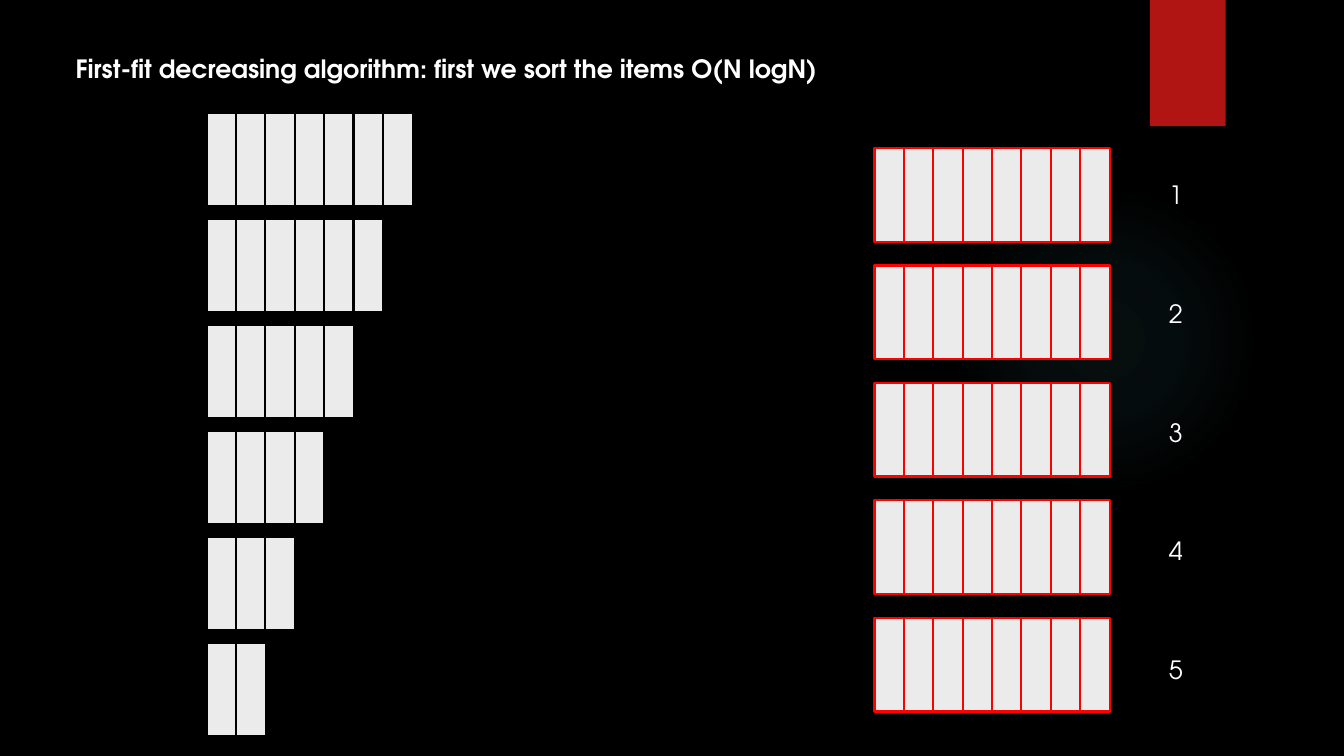
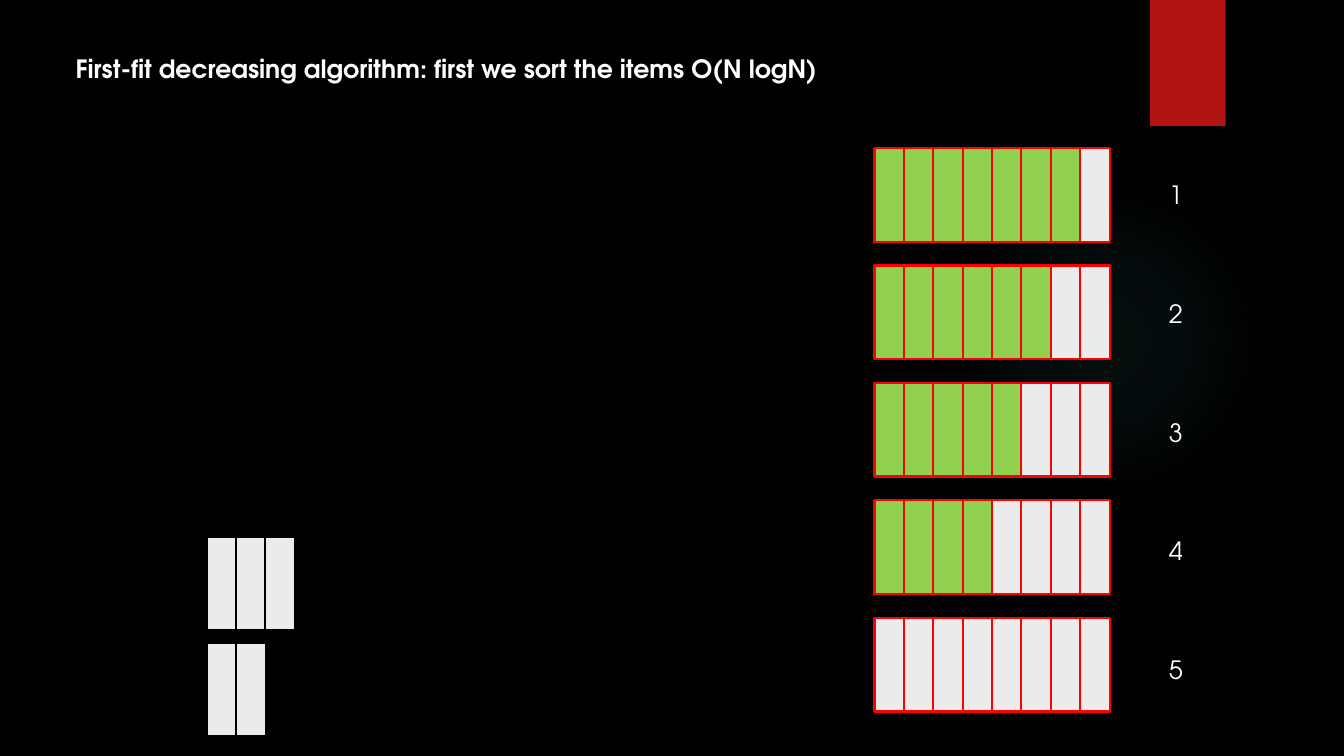
from pptx import Presentation
from pptx.dml.color import RGBColor
from pptx.enum.shapes import MSO_SHAPE as Shape
from pptx.enum.text import MSO_ANCHOR as Anchor, MSO_AUTO_SIZE as AutoSize, PP_ALIGN as Align
from pptx.oxml import parse_xml
from pptx.oxml.ns import nsdecls, qn
from pptx.util import Cm, Pt

BLACK = RGBColor(0x00, 0x00, 0x00)
WHITE = RGBColor(0xFF, 0xFF, 0xFF)
LIGHT = RGBColor(0xEB, 0xEB, 0xEB)
GREEN = RGBColor(0x92, 0xD0, 0x50)
RED = RGBColor(0xFF, 0x00, 0x00)
RIBBON = RGBColor(0xB0, 0x15, 0x13)
GLOW = RGBColor(0x50, 0xB9, 0xC1)

TITLE = "First-fit decreasing algorithm: first we sort the items O(N logN)"
FONT = {"name": "TeX Gyre Adventor", "size": Pt(18), "bold": False}
TITLE_FONT = {**FONT, "bold": True}
FRAME = {"word_wrap": False, "auto_size": AutoSize.SHAPE_TO_FIT_TEXT,
         "vertical_anchor": Anchor.TOP}

ITEMS = [7, 6, 5, 4, 3, 2]
BIN_COUNT, BIN_SIZE = 5, 8
CELL_W, CELL_H, CELL_STEP = 0.75, 2.36, 0.74
ITEM_STEP, BIN_STEP, LABEL_STEP = 2.67, 2.96, 2.99
STATES = [
    {"placed": 0},
    {"placed": 4},
]


def set_all(obj, values):
    for key, value in values.items():
        setattr(obj, key, value)


def write(tf, text, font):
    set_all(tf, FRAME)
    p = tf.paragraphs[0]
    p.alignment = Align.LEFT
    r = p.add_run()
    r.text = text
    set_all(r.font, font)
    r.font.color.rgb = WHITE


def add_block(s, kind, box, fill=None, line=None):
    sp = s.shapes.add_shape(kind, *map(Cm, box))
    sp.shadow.inherit = False
    if fill is None:
        sp.fill.background()
    else:
        sp.fill.solid()
        sp.fill.fore_color.rgb = fill
    if line is None:
        sp.line.fill.background()
    else:
        sp.line.color.rgb = line
        sp.line.width = Pt(1.5)
    return sp


def add_cells(s, left, top, count, line, filled=0):
    for i in range(count):
        box = (left + i * CELL_STEP, top, CELL_W, CELL_H)
        add_block(s, Shape.RECTANGLE, box, GREEN if i < filled else LIGHT, line)


def add_title(s, left, top, width, height):
    title = s.shapes.title
    set_all(title, {"left": Cm(left), "top": Cm(top), "width": Cm(width), "height": Cm(height)})
    write(title.text_frame, TITLE, TITLE_FONT)


def add_items(s, left, top, placed):
    for row, size in enumerate(ITEMS):
        if row >= placed:
            add_cells(s, left, top + row * ITEM_STEP, size, BLACK)


def add_bins(s, left, top, placed):
    loads = ITEMS[:placed] + [0] * (BIN_COUNT - placed)
    for row, load in enumerate(loads):
        add_cells(s, left, top + row * BIN_STEP, BIN_SIZE, RED, load)
    for row in range(BIN_COUNT):
        box = (left + 7.17, top + 0.67 + row * LABEL_STEP, 0.86, 1.02)
        label = s.shapes.add_textbox(*map(Cm, box))
        write(label.text_frame, str(row + 1), FONT)


def add_glow(s, box):
    sp = add_block(s, Shape.OVAL, box)
    stops = "".join(
        f'<a:gs pos="{pos * 1000}"><a:srgbClr val="{GLOW}">'
        f'<a:alpha val="{alpha * 1000}"/></a:srgbClr></a:gs>'
        for pos, alpha in [(0, 7), (36, 6), (69, 0)])
    grad = parse_xml(
        f'<a:gradFill {nsdecls("a")}><a:gsLst>{stops}</a:gsLst><a:path path="circle">'
        '<a:fillToRect l="50000" t="50000" r="50000" b="50000"/></a:path></a:gradFill>')
    props = sp.element.spPr
    props.replace(props.find(qn("a:noFill")), grad)
    return sp


def add_ribbon(s, box):
    sp = add_block(s, Shape.RECTANGLE, box, RIBBON)
    sp.element.spPr.find(qn("a:effectLst")).append(parse_xml(
        f'<a:outerShdw {nsdecls("a")} blurRad="{Pt(3)}" dist="{Pt(2)}" dir="5400000">'
        f'<a:srgbClr val="{BLACK}"><a:alpha val="45000"/></a:srgbClr></a:outerShdw>'))
    return sp


def decorate(layout, s):
    for sp in (add_glow(s, (23.9, 4.65, 7.82, 7.82)),
               add_ribbon(s, (28.98, 0, 1.91, 3.18))):
        layout.shapes.element.append(sp.element)


def add_packing_slide(prs, layout, placed):
    s = prs.slides.add_slide(layout)
    add_title(s, 1.65, 1.22, 19.3, 1.02)
    add_items(s, 5.21, 2.84, placed)
    add_bins(s, 22.04, 3.73, placed)
    return s


def main():
    prs = Presentation()
    set_all(prs, {"slide_width": Cm(33.87), "slide_height": Cm(19.05)})
    fill = prs.slide_master.background.fill
    fill.solid()
    fill.fore_color.rgb = BLACK
    layout = prs.slide_layouts.get_by_name("Title Only")
    slides = [add_packing_slide(prs, layout, **state) for state in STATES]
    decorate(layout, slides[0])
    prs.save("out.pptx")


if __name__ == "__main__":
    main()
